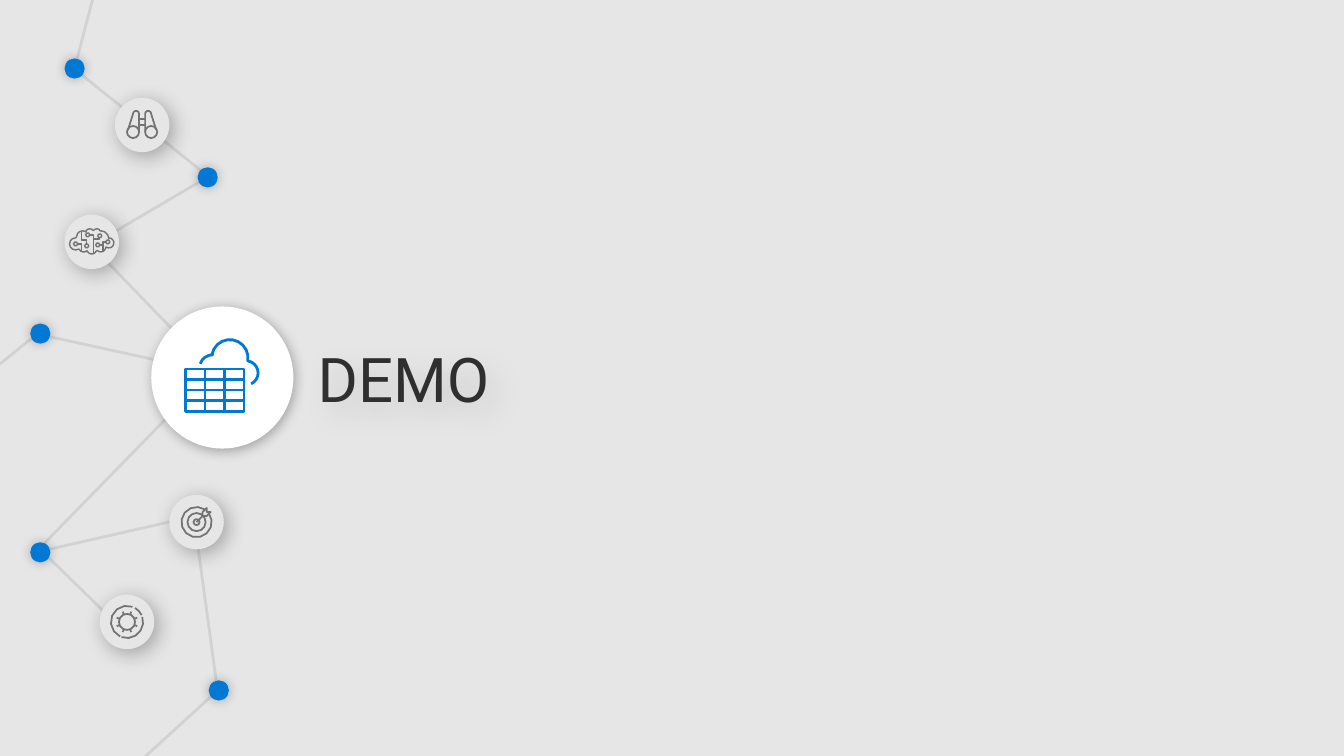
"""Build the demo divider slide with its network of icons."""
from math import ceil, cos, radians, sin

from lxml.etree import SubElement
from pptx import Presentation
from pptx.dml.color import RGBColor
from pptx.enum.shapes import MSO_CONNECTOR, MSO_SHAPE
from pptx.enum.text import MSO_ANCHOR, PP_ALIGN
from pptx.oxml.ns import qn
from pptx.util import Inches, Pt

BACKGROUND = RGBColor(0xE6, 0xE6, 0xE6)
WEB_GRAY = RGBColor(0xD2, 0xD2, 0xD2)
ICON_GRAY = RGBColor(0x73, 0x73, 0x73)
TEXT_DARK = RGBColor(0x2F, 0x2F, 0x2F)
BLUE = RGBColor(0x00, 0x78, 0xD4)
WHITE = RGBColor(0xFF, 0xFF, 0xFF)


def arc(center_x, center_y, radius, start=0, end=360, step_angle=30):
    """Return points along a circle, with angles in degrees clockwise."""
    steps = ceil(abs(end - start) / step_angle)
    angles = [radians(start + (end - start) * step / steps) for step in range(steps + 1)]
    return [(center_x + radius * cos(angle), center_y + radius * sin(angle)) for angle in angles]


def add_line(shapes, start, end, color):
    """Add a plain straight line."""
    points = [Inches(value) for value in (*start, *end)]
    connector = shapes.add_connector(MSO_CONNECTOR.STRAIGHT, *points)
    connector.line.color.rgb = color
    connector.line.width = Pt(2)
    SubElement(connector._element.spPr, qn("a:effectLst"))


presentation = Presentation()
presentation.slide_width = Inches(13.33)
presentation.slide_height = Inches(7.5)
slide = presentation.slides.add_slide(presentation.slide_layouts[5])
slide.background.fill.solid()
slide.background.fill.fore_color.rgb = BACKGROUND
shapes = slide.shapes

title = shapes.title
title.left, title.top = Inches(3.05), Inches(3.28)
title.width, title.height = Inches(5.56), Inches(0.94)
title_frame = title.text_frame
title_frame.text = "DEMO"
title_frame.word_wrap = True
title_frame.vertical_anchor = MSO_ANCHOR.BOTTOM
title_frame.margin_left = title_frame.margin_right = Inches(0.1)
title_frame.margin_top = title_frame.margin_bottom = Inches(0.1)
title_frame.paragraphs[0].alignment = PP_ALIGN.LEFT
title_font = title_frame.paragraphs[0].runs[0].font
title_font.name = "Roboto"
title_font.size = Pt(44)
title_font.color.rgb = TEXT_DARK

web_lines = [
    ((0.31, 3.36), (-0.1, 3.69)),
    ((2.09, 3.69), (0.49, 3.34)),
    ((2.18, 6.83), (1.25, 7.68)),
    ((1.93, 5.18), (2.17, 6.94)),
    ((0.91, 2.44), (2.09, 3.66)),
    ((0.44, 5.49), (1.28, 6.31)),
    ((0.44, 5.46), (1.85, 5.14)),
    ((2.09, 3.7), (0.44, 5.39)),
    ((1.97, 1.81), (0.93, 2.42)),
    ((0.77, 0.71), (2.04, 1.73)),
    ((0.75, 0.64), (0.93, -0.05)),
]
for start, end in web_lines:
    add_line(shapes, start, end, WEB_GRAY)

icon_discs = [(0.99, 5.9), (1.68, 4.91), (0.64, 2.13), (1.14, 0.97)]
dots = [(1.96, 1.66), (2.07, 6.75), (0.64, 0.58), (0.3, 5.38), (0.3, 3.21)]
disc_groups = [
    (icon_discs, 0.54, BACKGROUND, (30, 15, 4, 45)),
    (dots, 0.2, BLUE, (27, 8, 0, 0)),
    ([(1.5, 3.04)], 1.41, WHITE, (30, 9, 2, 45)),
]
shadowed = [(title, (12, 20, 10, 45))]
for places, size, color, shadow in disc_groups:
    for left, top in places:
        disc = shapes.add_shape(
            MSO_SHAPE.OVAL, Inches(left), Inches(top), Inches(size), Inches(size)
        )
        disc.fill.solid()
        disc.fill.fore_color.rgb = color
        disc.line.fill.background()
        shadowed.append((disc, shadow))

for shape, (opacity, blur, distance, direction) in shadowed:
    shape.shadow.inherit = False
    effects = shape._element.spPr.find(qn("a:effectLst"))
    outer = SubElement(
        effects, qn("a:outerShdw"), blurRad=str(Pt(blur)), dist=str(Pt(distance)),
        dir=str(direction * 60000), algn="ctr", rotWithShape="0",
    )
    shade = SubElement(outer, qn("a:srgbClr"), val="000000")
    SubElement(shade, qn("a:alpha"), val=str(opacity * 1000))

grid_left, grid_top, grid_width, grid_height = 1.84, 3.66, 0.58, 0.42
grid_right, grid_bottom = grid_left + grid_width, grid_top + grid_height
grid = shapes.add_shape(
    MSO_SHAPE.RECTANGLE,
    Inches(grid_left), Inches(grid_top), Inches(grid_width), Inches(grid_height),
)
grid.fill.background()
grid.line.color.rgb = BLUE
grid.line.width = Pt(2)
grid.shadow.inherit = False
for column in range(1, 3):
    x = grid_left + grid_width * column / 3
    add_line(shapes, (x, grid_top), (x, grid_bottom), BLUE)
for row in range(1, 4):
    y = grid_top + grid_height * row / 4
    add_line(shapes, (grid_left, y), (grid_right, y), BLUE)

cloud = [
    arc(2.11, 3.65, 0.13, -162, -90, 18)
    + arc(2.28, 3.55, 0.18, -170, 10, 18)
    + arc(2.44, 3.7, 0.12, -80, 65, 18)
]

gear_x, gear_y = 1.26, 6.17
gear = [arc(gear_x, gear_y, 0.08)]
for start, end in [(-70, -245), (110, -18), (-25, -60)]:
    gear.append(arc(gear_x, gear_y, 0.16, start, end))
for tooth in range(8):
    angle = radians(22.5 + 45 * tooth)
    gear.append([
        (gear_x + radius * cos(angle), gear_y + radius * sin(angle)) for radius in (0.08, 0.11)
    ])

target = [
    arc(1.95, 5.18, 0.15, -37, 304),
    arc(1.95, 5.18, 0.09),
    arc(1.95, 5.18, 0.03, step_angle=45),
    [(1.95, 5.18), (2.01, 5.12)],
    [(2.09, 5.08), (2.05, 5.08), (2.05, 5.04), (2.01, 5.08),
     (2.01, 5.12), (2.05, 5.12), (2.09, 5.08)],
]

barrel = [(1.38, 1.31)] + arc(1.35, 1.13, 0.03, 0, -180) + [(1.27, 1.29)]
left_half = [arc(1.32, 1.31, 0.06), barrel]
right_half = [[(2.82 - x, y) for x, y in stroke] for stroke in left_half]
bridges = [[(1.38, y), (1.44, y)] for y in (1.18, 1.24)]
binoculars = left_half + right_half + bridges

brain_outline = []
for lobe in [
    (1.08, 2.41, 0.05, 125, -90),
    (1.0, 2.37, 0.08, 0, -90),
    (0.96, 2.31, 0.04, -25, -140),
    (0.89, 2.31, 0.04, -40, -170),
    (0.82, 2.35, 0.06, -60, -180),
    (0.75, 2.42, 0.06, -90, -300),
    (0.83, 2.45, 0.05, 150, 50),
    (0.91, 2.47, 0.05, 155, 25),
    (1.0, 2.45, 0.05, 135, 10),
]:
    brain_outline += arc(*lobe)
brain_nodes = [(1.07, 2.4), (0.97, 2.43), (0.87, 2.33), (0.99, 2.34), (0.86, 2.44), (0.75, 2.42)]
brain = [brain_outline + brain_outline[:1]]
brain += [arc(x, y, 0.02, step_angle=60) for x, y in brain_nodes]
brain += [
    [(0.81, 2.49), (0.81, 2.42), (0.77, 2.42)],
    [(0.93, 2.51), (0.93, 2.33), (0.88, 2.33)],
    [(0.93, 2.37), (0.99, 2.37), (0.99, 2.35)],
    [(0.81, 2.3), (0.81, 2.38), (0.86, 2.38), (0.86, 2.42)],
    [(1.05, 2.4), (1.02, 2.4), (1.02, 2.46)],
    [(1.02, 2.49), (1.02, 2.43), (0.99, 2.43)],
]

icons = [
    (cloud, BLUE, 2),
    (gear, ICON_GRAY, 1.25),
    (target, ICON_GRAY, 1.25),
    (binoculars, ICON_GRAY, 1.25),
    (brain, ICON_GRAY, 1),
]
for strokes, color, width in icons:
    outlines = [[(Inches(x), Inches(y)) for x, y in stroke] for stroke in strokes]
    builder = shapes.build_freeform(*outlines[0][0])
    builder.add_line_segments(outlines[0][1:], close=False)
    for outline in outlines[1:]:
        builder.move_to(*outline[0])
        builder.add_line_segments(outline[1:], close=False)
    icon = builder.convert_to_shape()
    icon.fill.background()
    icon.line.color.rgb = color
    icon.line.width = Pt(width)
    icon.shadow.inherit = False

presentation.save("out.pptx")
